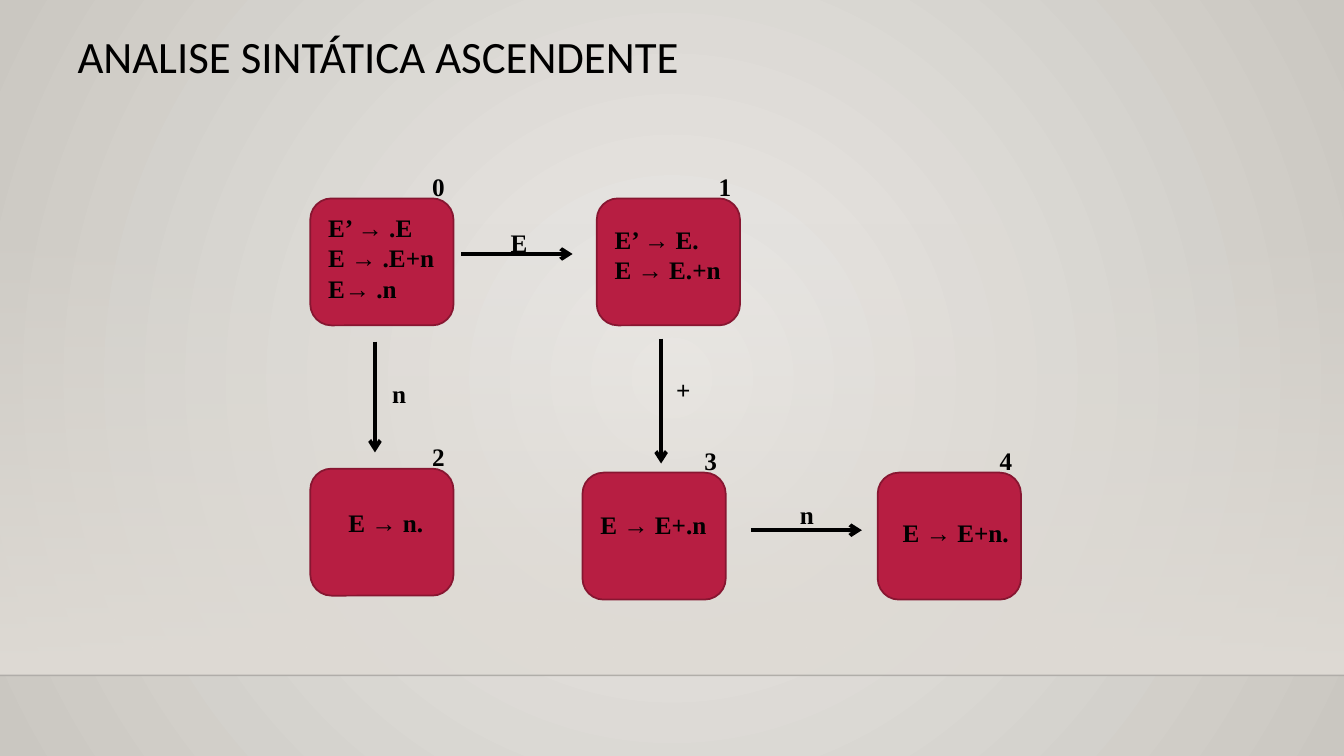
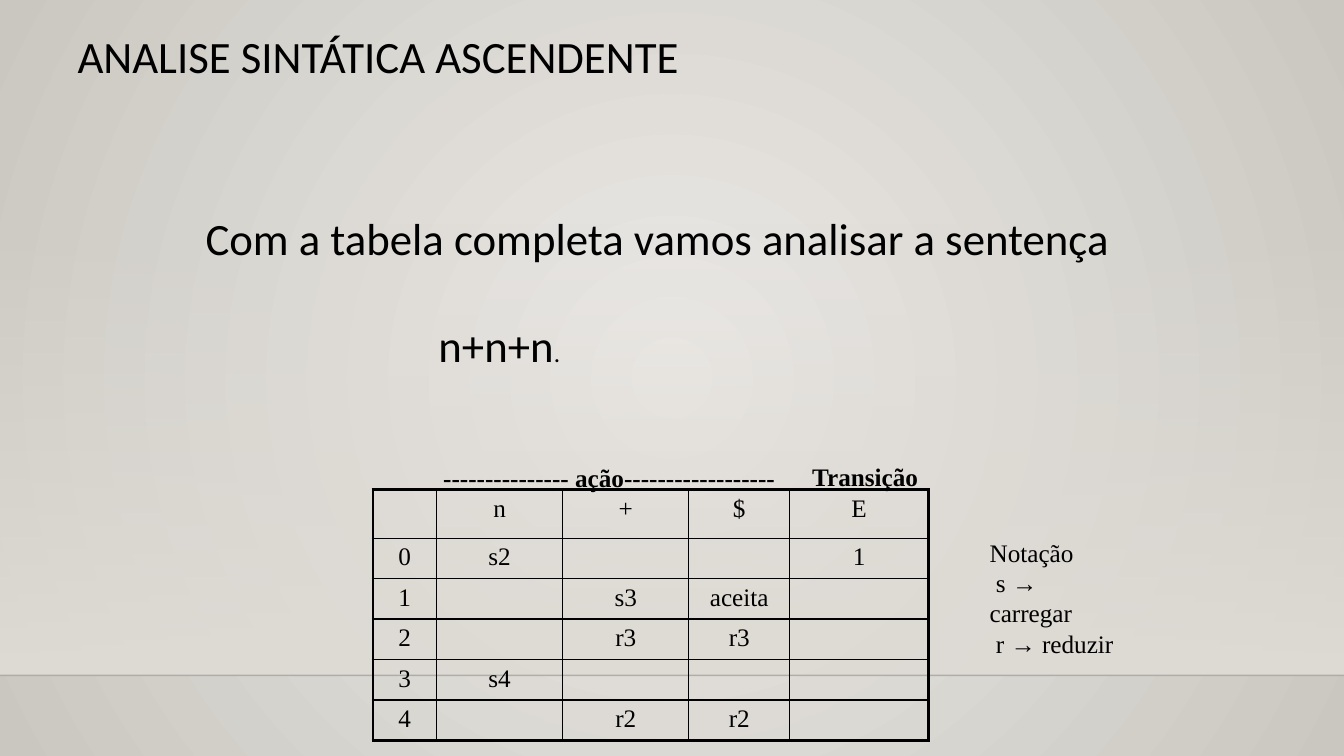
from dataclasses import dataclass
from typing import Any, NamedTuple

from lxml import etree
from pptx import Presentation
from pptx.dml.color import RGBColor
from pptx.enum.shapes import MSO_CONNECTOR, MSO_SHAPE
from pptx.enum.text import MSO_ANCHOR, PP_ALIGN
from pptx.oxml.ns import qn
from pptx.util import Cm, Pt

RECT, ROUND = MSO_SHAPE.RECTANGLE, MSO_SHAPE.ROUNDED_RECTANGLE
LINE = MSO_CONNECTOR.STRAIGHT
TOP = MSO_ANCHOR.TOP
LEFT, CENTER = PP_ALIGN.LEFT, PP_ALIGN.CENTER
WIDE, HIGH = 33.87, 19.05
TITLE_ONLY = 5


@dataclass(frozen=True)
class Theme:
    ink: str = "000000"
    rule: str = "000001"
    light: str = "ECEAE7"
    dark: str = "CAC7C1"
    band: str = "DFDBD5"
    red: str = "B71E42"
    edge: str = "871631"
    sans: str = "Calibri"
    serif: str = "Times New Roman"
    big: int = 32
    small: int = 18


THEME = Theme()


class State(NamedTuple):
    name: str
    x: float
    y: float
    dx: float
    dy: float
    items: list[str]


class Arrow(NamedTuple):
    name: str
    start: tuple[float, float]
    end: tuple[float, float]
    label: tuple[float, float]


class Note(NamedTuple):
    x: float
    y: float
    width: float
    lines: list[str]
    bold: bool


STATES = [
    State("0", 7.82, 5, 0.2, 0.23, ["E’ → .E", "E → .E+n", "E→ .n"]),
    State("1", 15.04, 5, 0.2, 0.53, ["E’ → E.", "E → E.+n"]),
    State("2", 7.82, 11.81, 0.71, 0.86, ["E → n."]),
    State("3", 14.68, 11.91, 0.2, 0.81, ["E → E+.n"]),
    State("4", 22.12, 11.91, 0.38, 0.99, ["E → E+n."]),
]
ARROWS = [
    Arrow("E", (11.63, 6.4), (14.43, 6.4), (12.62, 5.61)),
    Arrow("n", (9.45, 8.61), (9.45, 11.4), (9.63, 9.4)),
    Arrow("+", (16.66, 8.53), (16.66, 11.68), (16.79, 9.3)),
    Arrow("n", (18.92, 13.36), (21.72, 13.36), (19.91, 12.47)),
]
NOTES = [
    Note(10.92, 11.53, 9, ["--------------- ação------------------"], True),
    Note(20.22, 11.51, 3.5, ["Transição"], True),
]
LEGEND = Note(24.69, 13.41, 3.86,
              ["Notação", "s →\vcarregar", "r → reduzir"], False)
COLS = [1.6, 3.18, 3.18, 2.54, 3.5]
ROWS = [1.22] + [1.02] * 5
CELLS = [
    ["", "n", "+", "$", "E"],
    ["0", "s2", "", "", "1"],
    ["1", "", "s3", "aceita", ""],
    ["2", "", "r3", "r3", ""],
    ["3", "s4", "", "", ""],
    ["4", "", "r2", "r2", ""],
]


def color(code: str) -> RGBColor:
    return RGBColor.from_string(code)


def apply(obj: Any, values: dict[str, Any]) -> None:
    for key, value in values.items():
        setattr(obj, key, value)


def style(font: Any, face: str, size: int, bold: bool = False) -> None:
    apply(font, {"name": face, "size": Pt(size), "bold": bold})
    font.color.rgb = color(THEME.ink)


def fade(node: Any, percent: int) -> None:
    alpha = etree.SubElement(node, qn("a:alpha"))
    alpha.set("val", str(percent * 1000))


def blend(fill: Any, first: str, last: str) -> None:
    fill.gradient()
    for stop, code in zip(fill.gradient_stops, (first, last)):
        stop.color.rgb = color(code)


def draw_line(slide: Any, start: tuple[float, float], end: tuple[float, float],
              code: str, width: float) -> Any:
    ends = [Cm(v) for v in (*start, *end)]
    line = slide.shapes.add_connector(LINE, *ends)
    line.line.color.rgb = color(code)
    line.line.width = Pt(width)
    etree.SubElement(line.element.spPr, qn("a:effectLst"))
    return line


def draw_text(slide: Any, x: float, y: float, width: float,
              lines: list[str], bold: bool) -> Any:
    height = 0.25 + 0.77 * len(lines)
    box = slide.shapes.add_textbox(Cm(x), Cm(y), Cm(width), Cm(height))
    frame = box.text_frame
    frame.word_wrap = True
    frame.text = "\n".join(lines)
    for para in frame.paragraphs:
        for run in para.runs:
            style(run.font, THEME.serif, THEME.small, bold)
    return frame


def draw_state(slide: Any, state: State) -> None:
    box = slide.shapes.add_shape(
        ROUND, Cm(state.x), Cm(state.y), Cm(3.61), Cm(3.2))
    box.shadow.inherit = False
    box.fill.solid()
    box.fill.fore_color.rgb = color(THEME.red)
    box.line.color.rgb = color(THEME.edge)
    box.line.width = Pt(1.25)
    draw_text(slide, state.x + state.dx, state.y + state.dy, 3.5,
              state.items, True)
    draw_text(slide, state.x + 2.82, state.y - 0.81, 0.9, [state.name], True)


def draw_arrow(slide: Any, arrow: Arrow) -> None:
    line = draw_line(slide, arrow.start, arrow.end, THEME.ink, 2.75)
    tail = etree.SubElement(line.element.find(".//" + qn("a:ln")),
                            qn("a:tailEnd"))
    tail.set("type", "arrow")
    draw_text(slide, *arrow.label, 1.1, [arrow.name], True)


def add_borders(cell: Any, widths: dict[str, float]) -> None:
    props = cell._tc.get_or_add_tcPr()
    for index, (side, width) in enumerate(widths.items()):
        edge = etree.Element(qn("a:ln" + side), w=str(Pt(width)))
        fill = etree.SubElement(edge, qn("a:solidFill"))
        etree.SubElement(fill, qn("a:srgbClr"), val=THEME.ink)
        props.insert(index, edge)


def draw_table(slide: Any) -> None:
    table = slide.shapes.add_table(
        len(ROWS), len(COLS), Cm(9.4), Cm(12.34),
        Cm(sum(COLS)), Cm(sum(ROWS))).table
    apply(table, {"first_row": False, "horz_banding": False})
    for col, width in zip(table.columns, COLS):
        col.width = Cm(width)
    for row, height in zip(table.rows, ROWS):
        row.height = Cm(height)
    for r, texts in enumerate(CELLS):
        for c, text in enumerate(texts):
            cell = table.cell(r, c)
            cell.fill.background()
            outer = {"L": c == 0, "R": c == len(COLS) - 1,
                     "T": r == 0, "B": r == len(ROWS) - 1}
            add_borders(cell, {s: 2.25 if o else 1 for s, o in outer.items()})
            para = cell.text_frame.paragraphs[0]
            para.alignment = CENTER
            if text:
                run = para.add_run()
                run.text = text
                style(run.font, THEME.serif, THEME.small)


def add_slide(deck: Any) -> Any:
    slide = deck.slides.add_slide(deck.slide_layouts[TITLE_ONLY])
    title = slide.shapes.title
    apply(title, {"left": Cm(1.7), "top": Cm(0.76),
                  "width": Cm(30.48), "height": Cm(3.18)})
    frame = title.text_frame
    frame.text = "ANALISE SINTÁTICA ASCENDENTE"
    frame.vertical_anchor = TOP
    para = frame.paragraphs[0]
    apply(para, {"alignment": LEFT, "line_spacing": 0.9})
    style(para.runs[0].font, THEME.sans, THEME.big)
    return slide


def set_backdrop(deck: Any, slide: Any) -> None:
    # Round gradient on the master
    master = deck.slide_master
    blend(master.background.fill, THEME.light, THEME.dark)
    grad = master.element.find(".//" + qn("a:gradFill"))
    grad.remove(grad.find(qn("a:lin")))
    ring = etree.SubElement(grad, qn("a:path"))
    ring.set("path", "circle")
    focus = etree.SubElement(ring, qn("a:fillToRect"))
    for side in "ltrb":
        focus.set(side, "50000")

    # Band and floor line, moved from the slide to its layout
    band = slide.shapes.add_shape(RECT, 0, Cm(5.61), Cm(WIDE), Cm(11.41))
    band.shadow.inherit = False
    band.line.fill.background()
    blend(band.fill, THEME.band, THEME.band)
    band.fill.gradient_angle = 270
    floor = draw_line(slide, (0, 17.02), (WIDE, 17.02), THEME.rule, 1)
    for shape, alpha, index in ((band, 0, 2), (floor, 20, 3)):
        node = shape.element
        fade(node.find(".//" + qn("a:srgbClr")), alpha)
        node.find(".//" + qn("p:cNvPr")).set("id", str(100 + index))
        slide.slide_layout.shapes.element.insert(index, node)


def draw_lead(slide: Any) -> None:
    box = slide.shapes.add_textbox(Cm(4.93), Cm(5.18), Cm(24), Cm(4.4))
    frame = box.text_frame
    frame.word_wrap = True
    first, second = frame.paragraphs[0], frame.add_paragraph()
    second.space_before = Pt(38)
    second._p.get_or_add_pPr().set("indent", str(Cm(5.87)))
    for para, text, size in (
            (first, "Com a tabela completa vamos analisar a sentença", THEME.big),
            (second, "n+n+n", THEME.big), (second, ".", THEME.small)):
        run = para.add_run()
        run.text = text
        style(run.font, THEME.sans, size)


def main() -> None:
    deck = Presentation()
    apply(deck, {"slide_width": Cm(WIDE), "slide_height": Cm(HIGH)})

    # Automaton
    graph = add_slide(deck)
    set_backdrop(deck, graph)
    for state in STATES:
        draw_state(graph, state)
    for arrow in ARROWS:
        draw_arrow(graph, arrow)

    # Parsing table
    parse_slide = add_slide(deck)
    draw_lead(parse_slide)
    draw_table(parse_slide)
    for note in NOTES:
        draw_text(parse_slide, *note)
    legend = draw_text(parse_slide, *LEGEND)
    for para in legend.paragraphs[1:]:
        para._p.get_or_add_pPr().set("indent", str(Cm(0.16)))

    deck.save("out.pptx")


if __name__ == "__main__":
    main()
